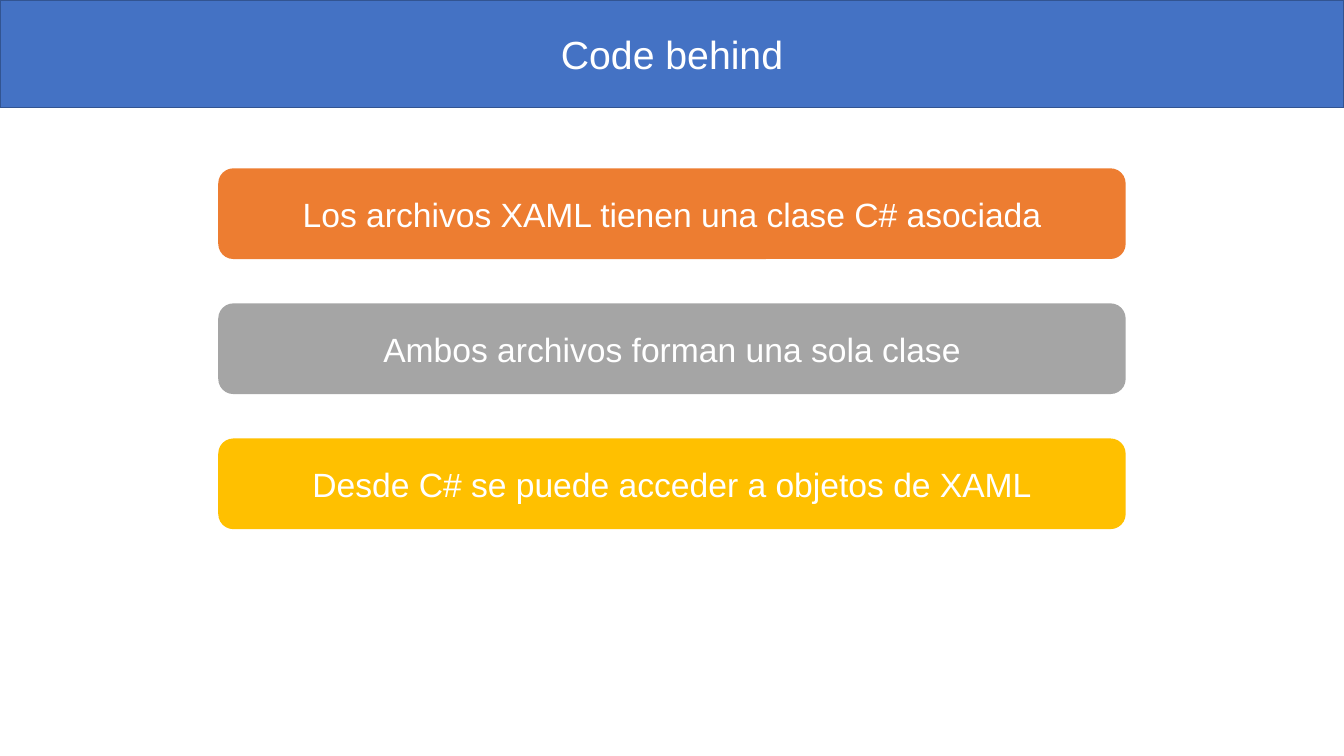
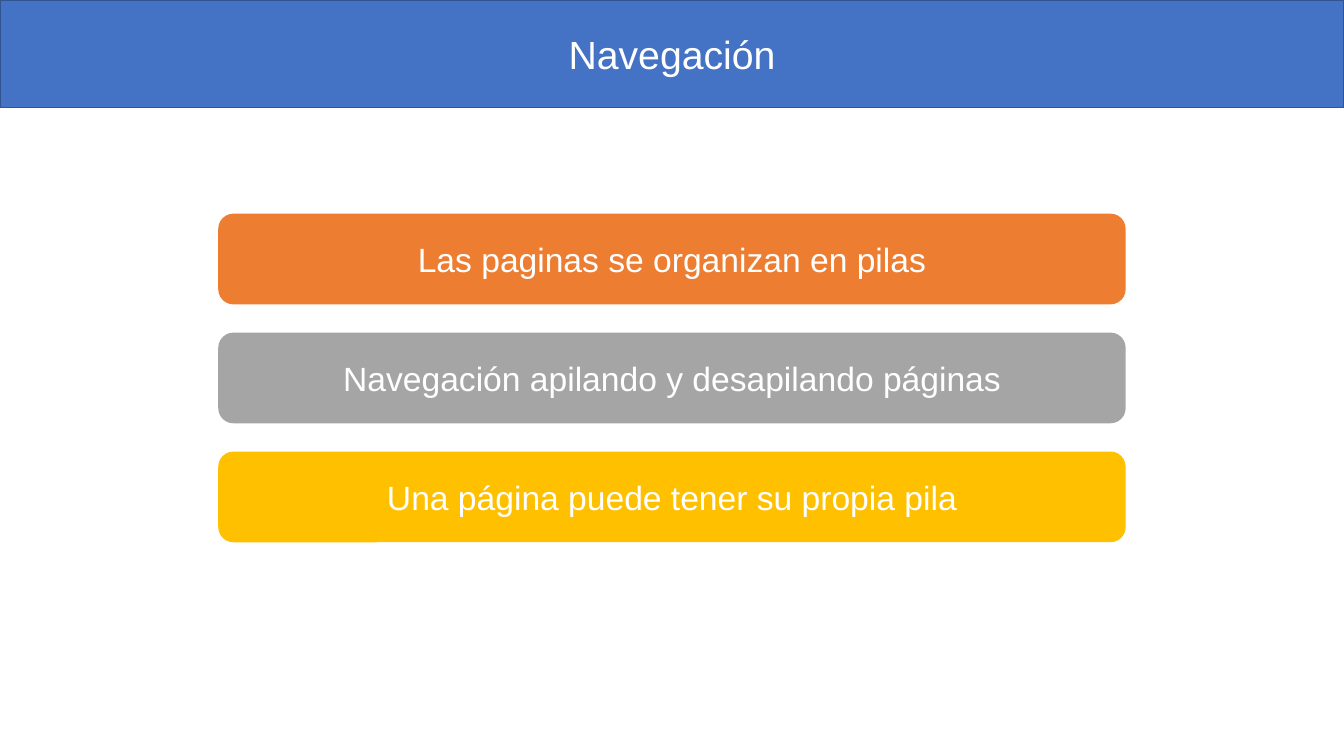
import pptx
from pptx.dml.color import RGBColor
from pptx.enum.shapes import MSO_SHAPE
from pptx.enum.text import MSO_ANCHOR, PP_ALIGN
from pptx.util import Inches, Pt

WHITE = RGBColor(0xFF, 0xFF, 0xFF)
BLUE = RGBColor(0x44, 0x72, 0xC4)
NAVY = RGBColor(0x32, 0x54, 0x91)
ORANGE = RGBColor(0xED, 0x7D, 0x31)
GRAY = RGBColor(0xA5, 0xA5, 0xA5)
GOLD = RGBColor(0xFF, 0xC0, 0x00)
FILLS = (ORANGE, GRAY, GOLD)

FONT = "Arial"
WIDTH, HEIGHT = Inches(13.33), Inches(7.5)
BAND_H = Inches(1.07)
CARD_W, CARD_H = Inches(9), Inches(0.9)

# Title, top of the first card, step from card to card, card texts
SLIDES = (
    ("Code behind", Inches(1.67), Inches(1.34), (
        "Los archivos XAML tienen una clase C# asociada",
        "Ambos archivos forman una sola clase",
        "Desde C# se puede acceder a objetos de XAML",
    )),
    ("Navegación", Inches(2.12), Inches(1.18), (
        "Las paginas se organizan en pilas",
        "Navegación apilando y desapilando páginas",
        "Una página puede tener su propia pila",
    )),
)


def add_box(slide, kind, box, fill, text, size):
    """Add a filled shape without outline, its text centred in white."""
    shape = slide.shapes.add_shape(kind, *box)
    shape.shadow.inherit = False
    shape.fill.solid()
    shape.fill.fore_color.rgb = fill
    shape.line.fill.background()
    frame = shape.text_frame
    frame.word_wrap = True
    frame.vertical_anchor = MSO_ANCHOR.MIDDLE
    para = frame.paragraphs[0]
    para.alignment = PP_ALIGN.CENTER
    run = para.add_run()
    run.text = text
    run.font.name = FONT
    run.font.size = Pt(size)
    run.font.color.rgb = WHITE
    return shape


def add_band(slide, box, title):
    band = add_box(slide, MSO_SHAPE.RECTANGLE, box, BLUE, title, 28)
    band.line.color.rgb = NAVY
    band.line.width = Pt(1)


def add_cards(slide, left, top, step, texts):
    for row, (fill, text) in enumerate(zip(FILLS, texts)):
        box = (left, top + row * step, CARD_W, CARD_H)
        add_box(slide, MSO_SHAPE.ROUNDED_RECTANGLE, box, fill, text, 24)


def main():
    deck = pptx.Presentation()
    deck.slide_width, deck.slide_height = WIDTH, HEIGHT
    blank = deck.slide_layouts[6]
    for title, top, step, texts in SLIDES:
        slide = deck.slides.add_slide(blank)
        add_band(slide, (0, 0, WIDTH, BAND_H), title)
        add_cards(slide, (WIDTH - CARD_W) // 2, top, step, texts)
    deck.save("out.pptx")


if __name__ == "__main__":
    main()
